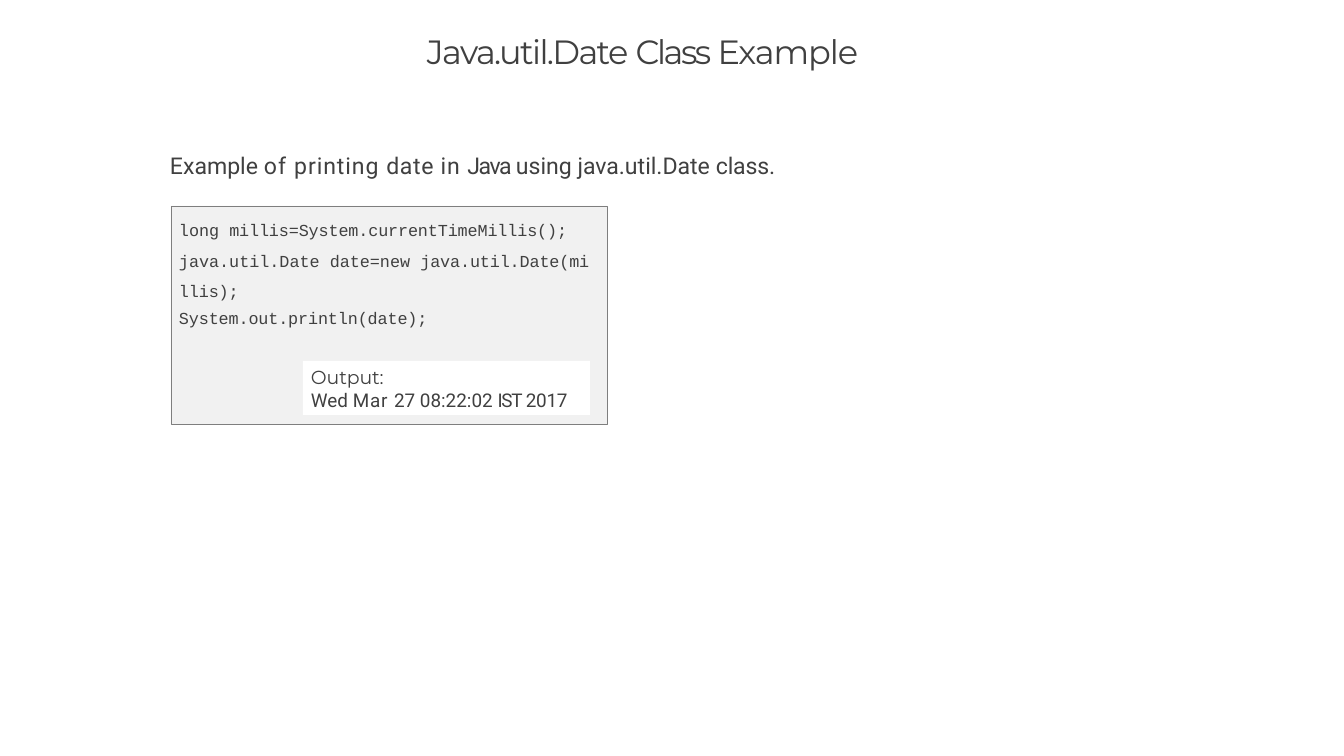
"""Builds the slide showing a java.util.Date example with its output."""
from pptx import Presentation
from pptx import util as u
from pptx.dml.color import RGBColor
from pptx.enum import shapes, text

PX = 914400 / 75.6
INK = RGBColor(0x40, 0x40, 0x40)
WHITE = RGBColor(0xFF, 0xFF, 0xFF)
CODE_FILL = RGBColor(0xF1, 0xF1, 0xF1)
CODE_LINE = RGBColor(0x7E, 0x7E, 0x7E)


def px(*lengths):
    return [u.Emu(round(length * PX)) for length in lengths]


def write(box, paragraphs, left=0, top=2):
    frame = box.text_frame
    frame.word_wrap = True
    frame.auto_size = text.MSO_AUTO_SIZE.NONE
    frame.vertical_anchor = text.MSO_ANCHOR.TOP
    frame.margin_left, frame.margin_top, frame.margin_right, frame.margin_bottom = px(left, top, 0, 0)
    for index, (font, size, before, leading, spans) in enumerate(paragraphs):
        para = frame.add_paragraph() if index else frame.paragraphs[0]
        para.alignment = text.PP_ALIGN.LEFT
        para.space_before = u.Pt(before)
        para.line_spacing = leading
        for words, tracking in spans:
            span = para.add_run()
            span.text = words
            span.font.name = font
            span.font.size = u.Pt(size)
            span.font.color.rgb = INK
            span.font._element.set("spc", str(round(tracking * 100)))


deck = Presentation()
deck.slide_width, deck.slide_height = px(1344, 756)
page = deck.slides.add_slide(deck.slide_layouts[5])

title = page.shapes.title
title.left, title.top, title.width, title.height = px(253, 29, 838, 49)
write(title, [
    ("Montserrat", 32, 0, 1.0, [("Java.util.Date ", -1.6), ("Class ", -2.4), ("Example", -1.1)]),
], left=174)

intro = page.shapes.add_textbox(*px(169, 149, 617, 29))
write(intro, [
    ("Roboto", 22, 0, 1.0, [
        ("Example ", 0), ("of ", 1.1), ("printing ", 0.9), ("date ", 0.6), ("in ", 0.9),
        ("Java ", -1.4), ("using java.util.Date ", 0), ("class.", -0.1),
    ]),
], left=1)

code_box, output_box = [
    page.shapes.add_shape(shapes.MSO_SHAPE.RECTANGLE, *px(*place))
    for place in ((171, 206, 436, 218), (303, 361, 287, 54))
]
for box, fill in ((code_box, CODE_FILL), (output_box, WHITE)):
    box.shadow.inherit = False
    box.fill.solid()
    box.fill.fore_color.rgb = fill
code_box.line.color.rgb = CODE_LINE
code_box.line.width = u.Pt(0.72)
output_box.line.fill.background()

write(code_box, [
    ("Courier New", 16, 0, u.Pt(28.8), [
        ("long ", 0), ("millis=System.currentTimeMillis(); ", -0.1),
        ("java.util.Date date=new ", 0), ("java.util.Date(mi llis);", -0.1),
    ]),
    ("Courier New", 16, 7, 1.0, [("System.out.println(date);", -0.1)]),
], left=8, top=4)

write(output_box, [
    ("Montserrat", 18, 0, 1.0, [("Output:", -0.1)]),
    ("Roboto", 18, 0, 1.0, [
        ("Wed ", 0), ("Mar ", 0.8), ("27 08:22:02 ", 0), ("IST ", -1.2), ("2017", -0.2),
    ]),
], left=8, top=5)

deck.save("out.pptx")
